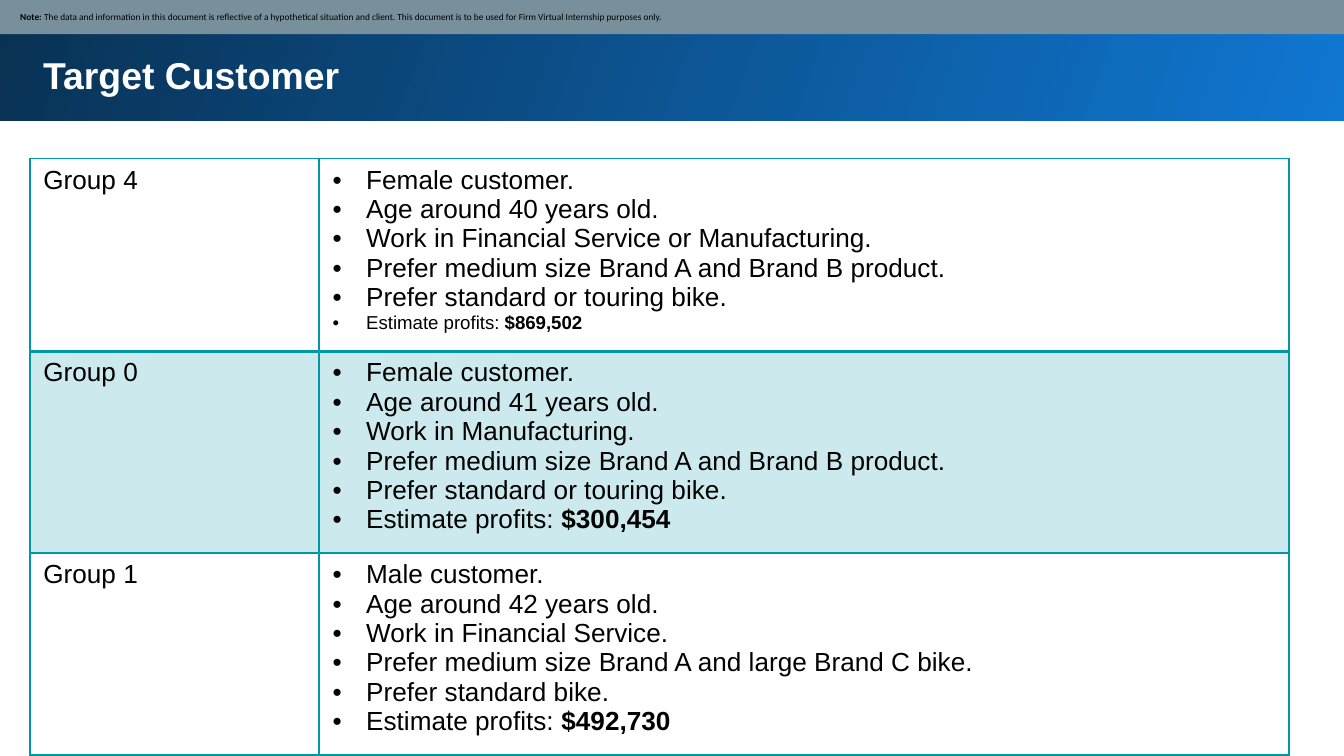
from lxml import etree
from pptx import Presentation
from pptx.dml.color import RGBColor
from pptx.enum import shapes, text
from pptx.oxml import ns
from pptx.util import Pt

TEAL = "0097A7"
BLACK = "000000"
GROUPS = [
    ("Group 4", ["Female customer.", "Age around 40 years old.",
                 "Work in Financial Service or Manufacturing.",
                 "Prefer medium size Brand A and Brand B product.",
                 "Prefer standard or touring bike."], "$869,502", 10),
    ("Group 0", ["Female customer.", "Age around 41 years old.",
                 "Work in Manufacturing.",
                 "Prefer medium size Brand A and Brand B product.",
                 "Prefer standard or touring bike."], "$300,454", 14),
    ("Group 1", ["Male customer.", "Age around 42 years old.",
                 "Work in Financial Service.",
                 "Prefer medium size Brand A and large Brand C bike.",
                 "Prefer standard bike."], "$492,730", 14),
]


def color(value):
    """Return the colour for a hex string."""
    return RGBColor.from_string(value)


def add_run(paragraph, words, size, name="Arial", fill=BLACK, bold=False):
    """Append a formatted run to a paragraph."""
    run = paragraph.add_run()
    run.text = words
    run.font.size = Pt(size)
    run.font.name = name
    run.font.bold = bold
    run.font.color.rgb = color(fill)


presentation = Presentation()
presentation.slide_width = Pt(720)
presentation.slide_height = Pt(405)
slide = presentation.slides.add_slide(presentation.slide_layouts[6])

# Header band and title
band = slide.shapes.add_shape(shapes.MSO_SHAPE.RECTANGLE,
                              Pt(-1.5), Pt(-1.5), Pt(723.5), Pt(66.3))
band.shadow.inherit = False
band.line.fill.background()
band.fill.gradient()
band.fill.gradient_angle = 160
for stop, position, value in zip(band.fill.gradient_stops, (0, 1), ("1077D2", "093153")):
    stop.position = position
    stop.color.rgb = color(value)

title = slide.shapes.add_textbox(Pt(16), Pt(21), Pt(674.5), Pt(39))
frame = title.text_frame
frame.word_wrap = True
frame.margin_left = frame.margin_right = frame.margin_top = frame.margin_bottom = Pt(7.2)
add_run(frame.paragraphs[0], "Target Customer", 20, fill="FFFFFF", bold=True)

# Note strip
note = slide.shapes.add_shape(shapes.MSO_SHAPE.RECTANGLE,
                              Pt(-0.7), Pt(-0.7), Pt(722), Pt(19))
note.shadow.inherit = False
note.line.fill.background()
note.fill.solid()
note.fill.fore_color.rgb = color("78909C")
frame = note.text_frame
frame.word_wrap = True
frame.vertical_anchor = text.MSO_ANCHOR.MIDDLE
frame.margin_left = Pt(11.5)
frame.margin_right = frame.margin_top = frame.margin_bottom = Pt(3.6)
paragraph = frame.paragraphs[0]
paragraph.alignment = text.PP_ALIGN.LEFT
add_run(paragraph, "Note: ", 5, "Calibri", bold=True)
add_run(paragraph, "The data and information in this document is reflective of a "
        "hypothetical situation and client. This document is to be used for "
        "Firm Virtual Internship purposes only.", 5, "Calibri")

# Customer groups
table = slide.shapes.add_table(3, 2, Pt(16), Pt(85), Pt(674.5), Pt(294.5)).table
table.first_row = False
table.horz_banding = False
for column, width in zip(table.columns, (155, 519.5)):
    column.width = Pt(width)
for row, height in zip(table.rows, (84.5, 108, 102)):
    row.height = Pt(height)

for index, (group, traits, profit, profit_size) in enumerate(GROUPS):
    name_cell, trait_cell = table.cell(index, 0), table.cell(index, 1)
    add_run(name_cell.text_frame.paragraphs[0], group, 14)

    frame = trait_cell.text_frame
    for number, trait in enumerate(traits + ["Estimate profits: "]):
        paragraph = frame.paragraphs[0] if number == 0 else frame.add_paragraph()
        properties = paragraph._p.get_or_add_pPr()
        properties.set("marL", str(Pt(18)))
        properties.set("indent", str(-Pt(18)))
        etree.SubElement(properties, ns.qn("a:buFont"), typeface="Arial")
        etree.SubElement(properties, ns.qn("a:buChar"), char="•")
        add_run(paragraph, trait, 14 if number < len(traits) else profit_size)
    add_run(paragraph, profit, profit_size, bold=True)

    for cell in (name_cell, trait_cell):
        cell.margin_left = cell.margin_right = Pt(7.2)
        cell.margin_top = cell.margin_bottom = Pt(3.6)
        if index == 1:
            cell.fill.solid()
            cell.fill.fore_color.rgb = color(TEAL)
            tint = cell._tc.tcPr.find(".//" + ns.qn("a:srgbClr"))
            etree.SubElement(tint, ns.qn("a:alpha"), val="20000")
        else:
            cell.fill.background()
        for order, side in enumerate(("lnL", "lnR", "lnT", "lnB")):
            thick = (index, side) in ((0, "lnB"), (1, "lnT"))
            border = etree.Element(ns.qn("a:" + side), w=str(Pt(2 if thick else 1)))
            solid = etree.SubElement(border, ns.qn("a:solidFill"))
            etree.SubElement(solid, ns.qn("a:srgbClr"), val=TEAL)
            cell._tc.tcPr.insert(order, border)

presentation.save("out.pptx")
